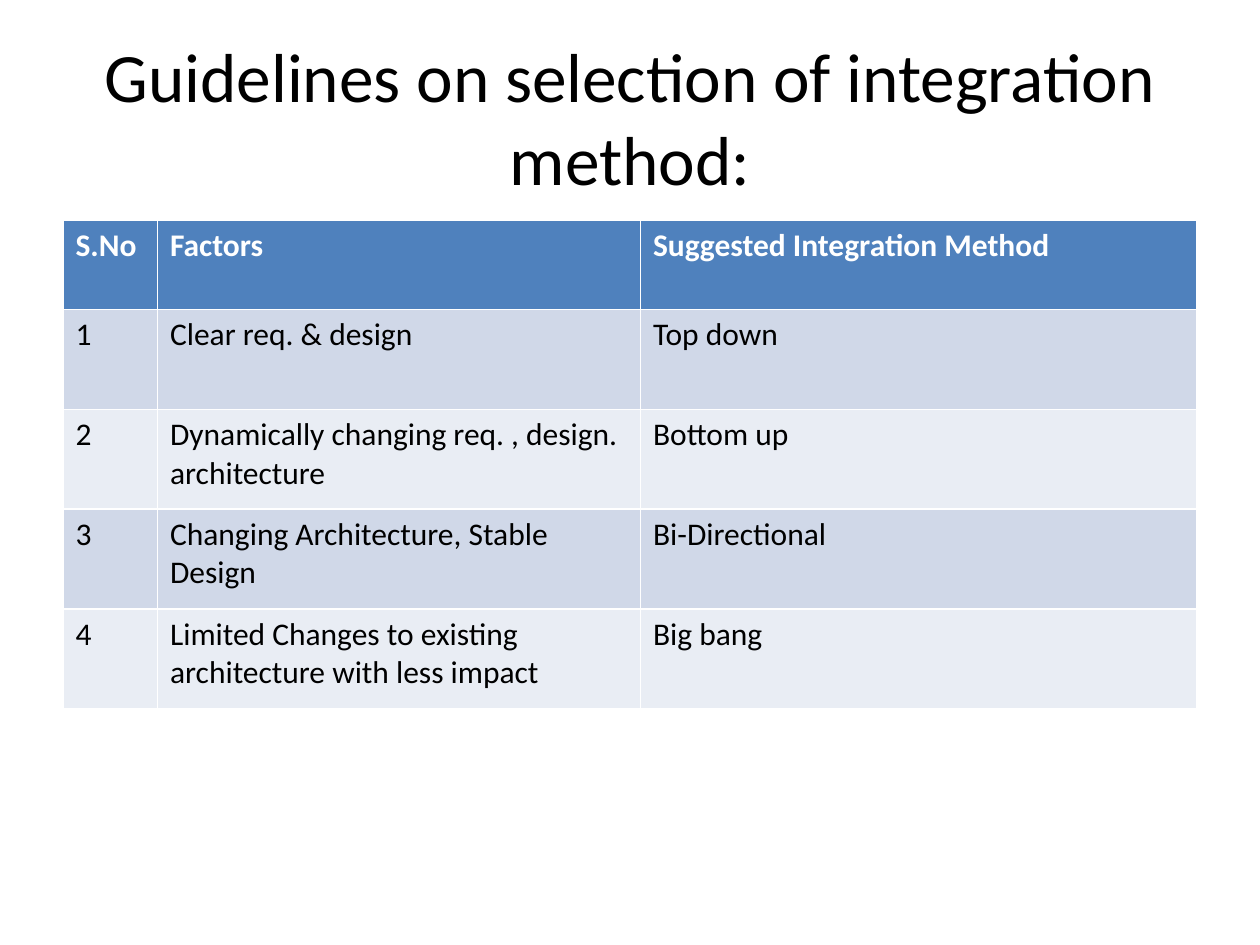
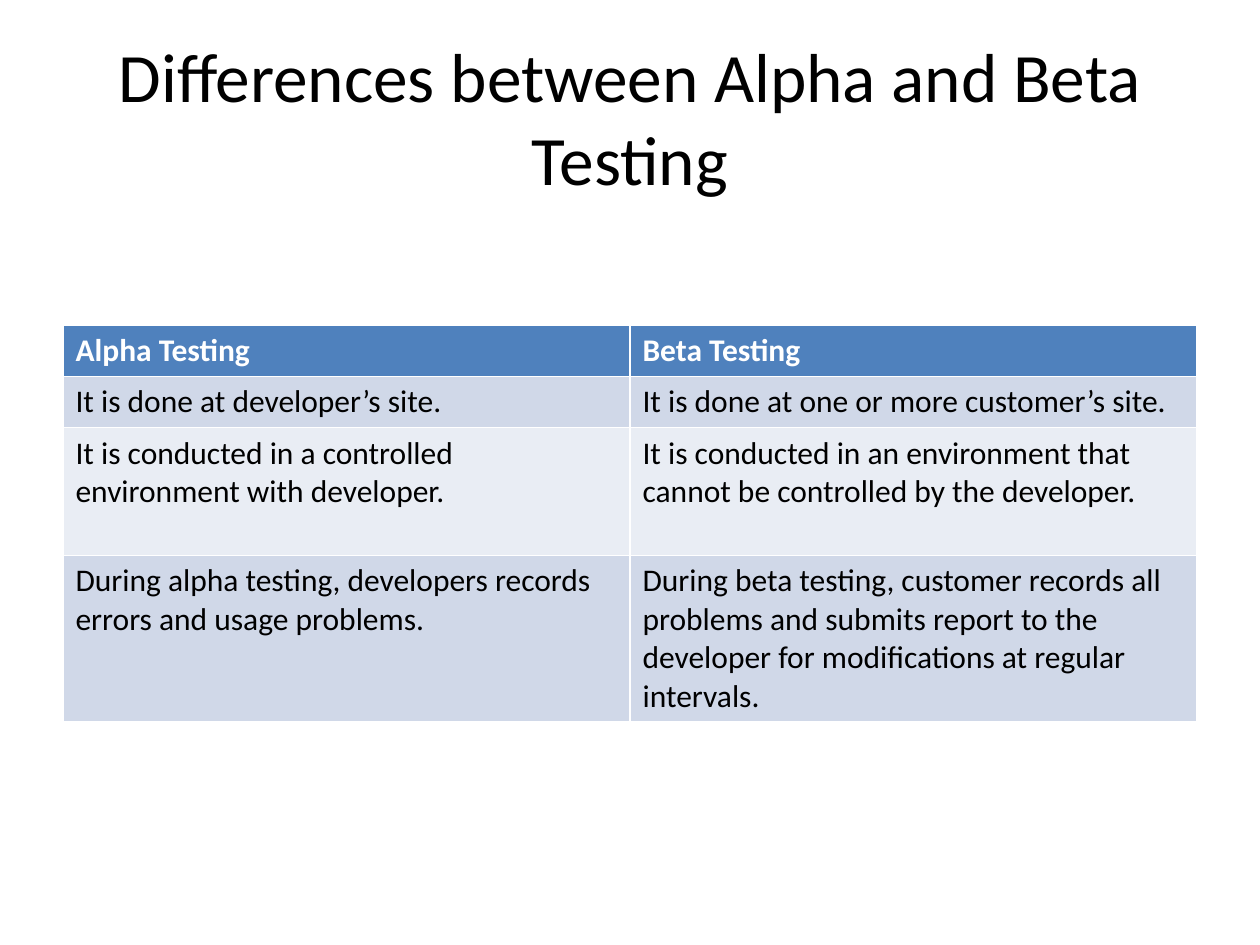
from pptx import Presentation
from pptx.dml.color import RGBColor
from pptx.enum.text import MSO_ANCHOR, MSO_AUTO_SIZE, PP_ALIGN
from pptx.util import Pt

MIDDLE = MSO_ANCHOR.MIDDLE
NO_AUTOFIT = MSO_AUTO_SIZE.NONE
CENTER = PP_ALIGN.CENTER

BLACK = RGBColor(0x00, 0x00, 0x00)
WHITE = RGBColor(0xFF, 0xFF, 0xFF)
HEADER_BLUE = RGBColor(0x4F, 0x81, 0xBD)
BAND_COLORS = (RGBColor(0xD0, 0xD8, 0xE8), RGBColor(0xE9, 0xED, 0xF4))

FONT = "Calibri"
TITLE_ONLY_LAYOUT = 5
LEFT, WIDTH = 36, 648
TITLE_BOX = (LEFT, 21.6, WIDTH, 90)

INTEGRATION_ROWS = [
    ("S.No", "Factors", "Suggested Integration Method"),
    ("1", "Clear req. & design", "Top down"),
    ("2", "Dynamically changing req. , design. architecture", "Bottom up"),
    ("3", "Changing Architecture, Stable Design", "Bi-Directional"),
    ("4", "Limited Changes to existing architecture with less impact", "Big bang"),
]
TESTING_ROWS = [
    ("Alpha Testing", "Beta Testing"),
    ("It is done at developer’s site.",
     "It is done at one or more customer’s site."),
    ("It is conducted in a controlled environment with developer.",
     "It is conducted in an environment that cannot be controlled by the developer."),
    ("During alpha testing, developers records errors and usage problems.",
     "During beta testing, customer records all problems and submits report to "
     "the developer for modifications at regular intervals."),
]


def set_font(paragraph, size, color, bold=False):
    paragraph.font.name = FONT
    paragraph.font.size = Pt(size)
    paragraph.font.color.rgb = color
    paragraph.font.bold = bold


def place_title(slide, text, box):
    title = slide.shapes.title
    title.left, title.top, title.width, title.height = map(Pt, box)
    frame = title.text_frame
    frame.text = text
    frame.auto_size = NO_AUTOFIT
    frame.vertical_anchor = MIDDLE
    paragraph = frame.paragraphs[0]
    paragraph.alignment = CENTER
    set_font(paragraph, 39.6, BLACK)


def add_banded_table(slide, rows, left, top, column_widths, row_heights):
    table = slide.shapes.add_table(
        len(rows), len(column_widths), Pt(left), Pt(top),
        Pt(sum(column_widths)), Pt(sum(row_heights))).table
    for column, width in zip(table.columns, column_widths):
        column.width = Pt(width)
    for row_index, (texts, height) in enumerate(zip(rows, row_heights)):
        is_header = row_index == 0
        fill_color = HEADER_BLUE if is_header else BAND_COLORS[(row_index - 1) % 2]
        table.rows[row_index].height = Pt(height)
        for column_index, text in enumerate(texts):
            cell = table.cell(row_index, column_index)
            cell.text = text
            cell.fill.solid()
            cell.fill.fore_color.rgb = fill_color
            set_font(cell.text_frame.paragraphs[0], 18,
                     WHITE if is_header else BLACK, is_header)


def add_table_slide(presentation, title, rows, top, column_widths, row_heights):
    slide = presentation.slides.add_slide(
        presentation.slide_layouts[TITLE_ONLY_LAYOUT])
    place_title(slide, title, TITLE_BOX)
    add_banded_table(slide, rows, LEFT, top, column_widths, row_heights)


def main():
    presentation = Presentation()
    presentation.slide_width, presentation.slide_height = Pt(720), Pt(540)
    add_table_slide(
        presentation, "Guidelines on selection of integration method:",
        INTEGRATION_ROWS, 126, (54, 276, 318), [50.8] + [57.1] * 4)
    add_table_slide(
        presentation, "Differences between Alpha and Beta Testing",
        TESTING_ROWS, 186, [WIDTH / 2] * 2, (29.2, 29.2, 73, 94.6))
    presentation.save("out.pptx")


if __name__ == "__main__":
    main()
